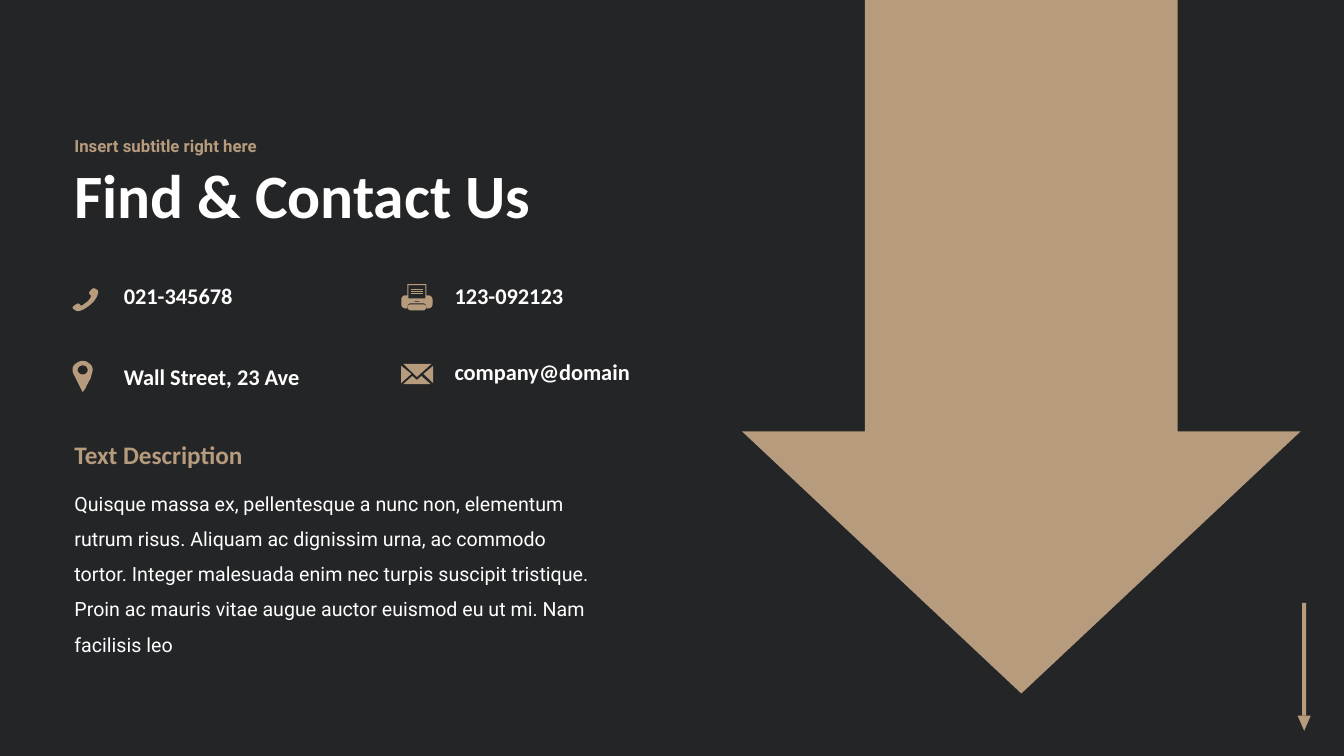
from pptx import Presentation
from pptx import util as u
from pptx.dml.color import RGBColor
from pptx.enum import shapes, text

COLORS = {"bg": "242527", "tan": "B69B7D", "white": "FFFFFF"}

PHONE = [[(20, 9), (19, 8, 17, 7, 20, 4), (23, 0, 25, 3, 27, 4), (28, 6, 27, 12, 20, 18),
          (13, 24, 7, 26, 5, 24), (3, 23, 0, 21, 4, 19), (8, 16, 8, 17, 10, 19),
          (11, 20, 14, 17, 17, 15), (19, 13, 21, 10, 20, 9)]]
PIN = [[(3, 3), (5, 1, 8, 0, 10, 0), (13, 0, 15, 1, 17, 3), (19, 4, 20, 7, 20, 9),
        (20, 10, 19, 13, 18, 17), (16, 21, 14, 24, 13, 27), (10, 31), (7, 25),
        (4, 19), (1, 13), (0, 11, 0, 10, 0, 9), (0, 6, 1, 4, 3, 3)],
       [(5, 9), (5, 11.5, 7.5, 13.5, 10, 13.5), (13, 13.5, 15, 11.5, 15, 9),
        (15, 6.5, 13, 4.5, 10, 4.5), (7.5, 4.5, 5, 6.5, 5, 9)]]
PRINTER_BODY = [[(27, 11), (25, 11), (25, 0), (6, 0), (6, 11), (4, 11), (2, 11, 0, 13, 0, 15),
                 (0, 20), (0, 22, 2, 24, 4, 24), (6, 24), (6, 23), (6, 21, 7, 19, 9, 19),
                 (22, 19), (24, 19, 25, 21, 25, 23), (25, 24), (27, 24),
                 (29, 24, 31, 22, 31, 20), (31, 15), (31, 13, 29, 11, 27, 11)],
                [(7, 1), (24, 1), (24, 14), (7, 14)],
                [(13, 16.8), (18, 16.8), (18, 17.4), (13, 17.4)]]
PRINTER_TRAY = [[(22, 20), (9, 20), (8, 20, 6, 21, 6, 23), (6, 24, 8, 26, 9, 26),
                 (22, 26), (23, 26, 25, 24, 25, 23), (25, 21, 23, 20, 22, 20)]]
PAPER_LINES = [[[(10, y), (21.5, y), (21.5, y + 0.7), (10, y + 0.7)]] for y in (4.8, 6.9, 9)]
ENVELOPE = [[[(2, 0), (30, 0), (15.5, 13)]],
            [[(31.5, 2), (22, 10), (31.5, 19)]],
            [[(0, 2), (0, 19), (10, 10)]],
            [[(15.5, 16), (11, 12), (2, 20), (29, 20), (20, 12)]]]
ARROW = [[(122, 0), (432, 0), (432, 488), (554, 488), (277, 748), (0, 488), (122, 488)]]


def rgb(name):
    """Return the named colour."""
    return RGBColor.from_string(COLORS[name])


def paint(sp):
    """Give a shape the plain tan fill."""
    sp.shadow.inherit = False
    sp.fill.solid()
    sp.fill.fore_color.rgb = rgb("tan")
    sp.line.fill.background()


def flatten(contour, steps=8):
    """Turn a contour of line and cubic segments into points in EMU."""
    points = [contour[0]]
    for seg in contour[1:]:
        if len(seg) == 2:
            points.append(seg)
            continue
        ctrl = [points[-1], seg[:2], seg[2:4], seg[4:]]
        for i in range(1, steps + 1):
            t = i / steps
            weights = ((1 - t) ** 3, 3 * t * (1 - t) ** 2, 3 * t * t * (1 - t), t ** 3)
            points.append(tuple(sum(w * c[axis] for w, c in zip(weights, ctrl))
                                for axis in (0, 1)))
    return [(u.Inches(x / 100), u.Inches(y / 100)) for x, y in points]


def add_outline(s, x, y, contours):
    """Draw contours, given in hundredths of an inch, from a corner."""
    first, *holes = [flatten(c) for c in contours]
    builder = s.shapes.build_freeform(*first[0])
    builder.add_line_segments(first[1:], close=True)
    for hole in holes:
        builder.move_to(*hole[0])
        builder.add_line_segments(hole[1:], close=True)
    paint(builder.convert_to_shape(u.Inches(x), u.Inches(y)))


def add_preset(s, kind, x, y, w, h, rotation=0):
    """Draw a tan preset shape."""
    sp = s.shapes.add_shape(kind, u.Inches(x), u.Inches(y), u.Inches(w), u.Inches(h))
    sp.rotation = rotation
    paint(sp)


def add_text(s, box, words, size, font="Calibri", color="white", bold=True,
             spacing=1.0, anchor=text.MSO_ANCHOR.TOP):
    """Add a one-paragraph text box."""
    tf = s.shapes.add_textbox(*(u.Inches(v) for v in box)).text_frame
    tf.word_wrap = True
    tf.vertical_anchor = anchor
    p = tf.paragraphs[0]
    p.line_spacing = spacing
    r = p.add_run()
    r.text = words
    r.font.size = u.Pt(size)
    r.font.name = font
    r.font.bold = bold
    r.font.color.rgb = rgb(color)


def add_scroll_mark(s, x, y, w, h):
    """Draw the thin down arrow inside its box."""
    bar, head = 0.04, 0.15
    add_preset(s, shapes.MSO_SHAPE.RECTANGLE, x + (w - bar) / 2, y, bar, h - head)
    add_preset(s, shapes.MSO_SHAPE.ISOSCELES_TRIANGLE, x, y + h - head, w, head, 180)


def add_heading(s, x, y, w):
    """Place the subtitle above the title."""
    middle = text.MSO_ANCHOR.MIDDLE
    add_text(s, (x, y + 0.19, w, 1.03), "Find & Contact Us", 44, spacing=0.9, anchor=middle)
    add_text(s, (x, y, w, 0.38), "Insert subtitle right here", 12, "Roboto", "tan",
             spacing=0.9, anchor=middle)


def add_contacts(s, x, y):
    """Place the four contact entries with their icons."""
    left, right = x + 0.45, x + 3.73
    add_text(s, (left, y, 2.2, 0.37), "021-345678", 16)
    add_text(s, (right, y, 3.07, 0.37), "123-092123", 16)
    add_text(s, (left, y + 0.8, 2.7, 0.37), "Wall Street, 23 Ave", 16)
    add_text(s, (right, y + 0.75, 3.07, 0.37), "company@domain", 16)
    add_outline(s, x + 0.02, y + 0.09, PHONE)
    add_outline(s, x + 0.04, y + 0.83, PIN)
    for part in (PRINTER_TRAY, PRINTER_BODY, *PAPER_LINES):
        add_outline(s, x + 3.3, y + 0.07, part)
    for part in ENVELOPE:
        add_outline(s, x + 3.3, y + 0.86, part)


def add_description(s, x, y, w):
    """Place the description heading and its paragraph."""
    add_text(s, (x, y + 0.4, w, 1.48),
             "Quisque massa ex, pellentesque a nunc non, elementum rutrum risus. "
             "Aliquam ac dignissim urna, ac commodo tortor. Integer malesuada enim nec "
             "turpis suscipit tristique. Proin ac mauris vitae augue auctor euismod eu "
             "ut mi. Nam facilisis leo", 14, "Roboto", bold=False, spacing=1.5)
    add_text(s, (x, y, 2.92, 0.4), "Text Description", 18, color="tan")


def main():
    """Build the contact slide."""
    prs = Presentation()
    prs.slide_width, prs.slide_height = u.Inches(13.33), u.Inches(7.5)
    s = prs.slides.add_slide(prs.slide_layouts[6])
    s.background.fill.solid()
    s.background.fill.fore_color.rgb = rgb("bg")
    add_scroll_mark(s, 12.87, 5.98, 0.13, 1.27)
    add_outline(s, 7.36, -0.6, ARROW)
    add_heading(s, 0.64, 1.27, 7.5)
    add_description(s, 0.64, 4.31, 5.33)
    add_contacts(s, 0.68, 2.75)
    prs.save("out.pptx")


if __name__ == "__main__":
    main()
